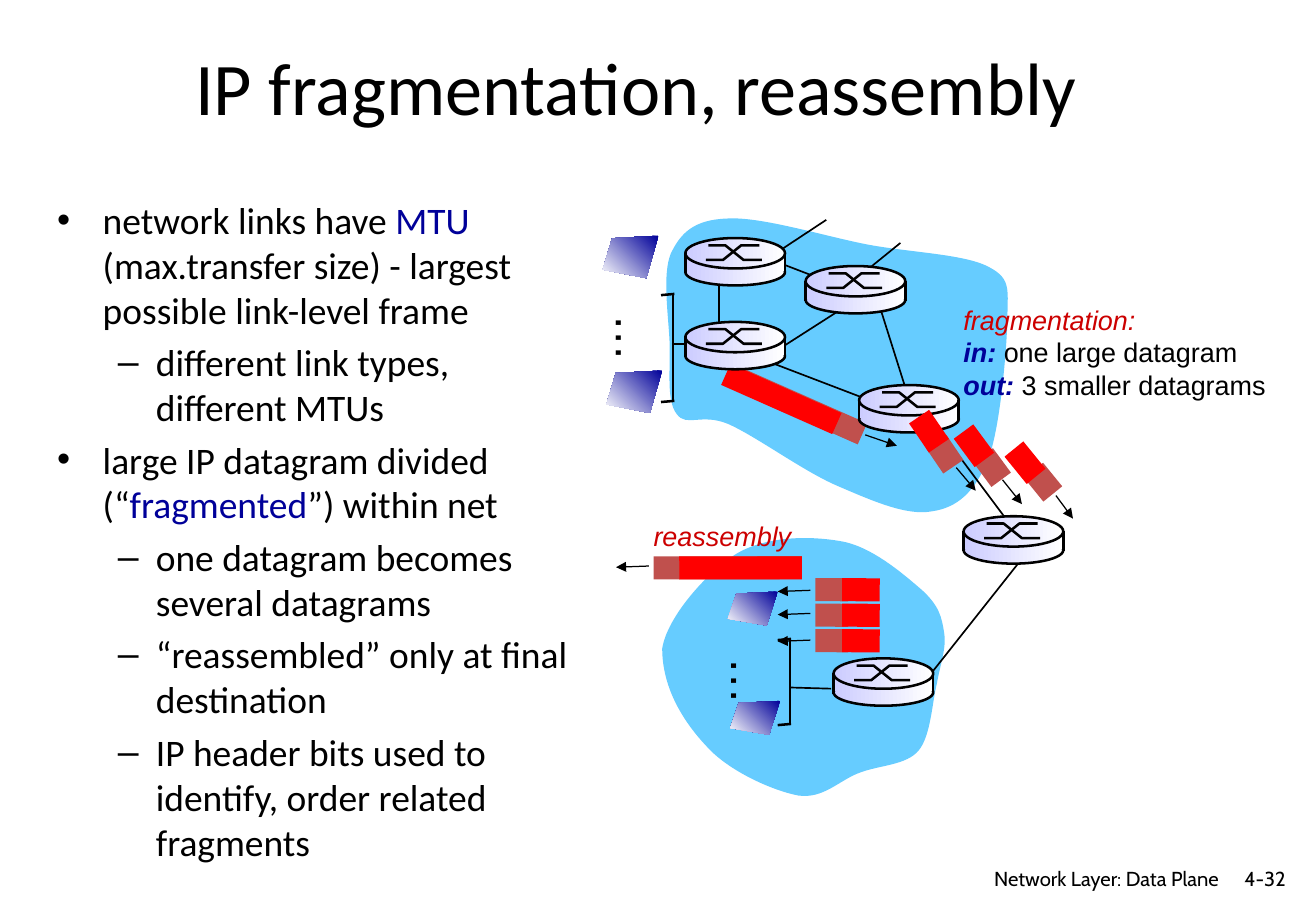
from lxml import etree
from pptx import Presentation
from pptx import util as u
from pptx.dml.color import RGBColor
from pptx.enum import shapes, text
from pptx.oxml import ns

PX = 9144  # 100 px to the inch
BLACK, NAVY, CRIMSON, RED, BRICK = "000000", "000099", "CC0000", "FF0000", "C0504D"
SKY, LILAC, WHITE = "66CCFF", "CCCCFF", "FFFFFF"
RECT, OVAL = shapes.MSO_SHAPE.RECTANGLE, shapes.MSO_SHAPE.OVAL
RIGHT, MIDDLE = text.PP_ALIGN.RIGHT, text.MSO_ANCHOR.MIDDLE


def px(value):
    return u.Emu(round(value * PX))


def ink(hex_code):
    return RGBColor.from_string(hex_code)


def bend(shape):
    """Turn every three straight segments of an outline into one cubic curve."""
    segments = list(shape.element.iter(ns.qn("a:lnTo")))
    for first in range(0, len(segments), 3):
        curve = etree.Element(ns.qn("a:cubicBezTo"))
        segments[first].addprevious(curve)
        for segment in segments[first:first + 3]:
            curve.append(segment[0])
            segment.getparent().remove(segment)


class Slide:
    def __init__(self, page):
        self.page = page

    def spans(self, para, spans, size, font):
        """Add runs given as (words, colour, style), style holding b and i."""
        for words, colour, style in spans:
            span = para.add_run()
            span.text = words
            span.font.size, span.font.name = u.Pt(size), font
            span.font.color.rgb = ink(colour)
            span.font.bold, span.font.italic = "b" in style, "i" in style

    def placeholder(self, index, place, lines, size):
        """Fill a placeholder with lines given as (level, spans)."""
        box = self.page.placeholders[index]
        box.left, box.top, box.width, box.height = map(px, place)
        frame = box.text_frame
        frame.auto_size = text.MSO_AUTO_SIZE.NONE
        for number, (level, spans) in enumerate(lines):
            para = frame.add_paragraph() if number else frame.paragraphs[0]
            para.level = level
            if number == 0:
                para.space_before = u.Pt(0)
            self.spans(para, spans, size, "Calibri")

    def label(self, place, lines, size, font="Arial", align=None, anchor=None,
              wrap=False, turn=0):
        box = self.page.shapes.add_textbox(*map(px, place))
        box.rotation = turn
        frame = box.text_frame
        frame.word_wrap = wrap
        frame.vertical_anchor = anchor
        for number, spans in enumerate(lines):
            para = frame.add_paragraph() if number else frame.paragraphs[0]
            para.alignment = align
            self.spans(para, spans, size, font)

    def paint(self, shape, fill=None, fade_angle=None, line=None):
        """Fill with one colour, or fade it to white at the given angle."""
        shape.shadow.inherit = False
        if fill is None:
            shape.fill.background()
        elif fade_angle is None:
            shape.fill.solid()
            shape.fill.fore_color.rgb = ink(fill)
        else:
            shape.fill.gradient()
            shape.fill.gradient_angle = fade_angle
            for stop, colour in zip(shape.fill.gradient_stops, (fill, WHITE)):
                stop.color.rgb = ink(colour)
        if line:
            shape.line.color.rgb = ink(BLACK)
            shape.line.width = u.Pt(line)
        else:
            shape.line.fill.background()

    def solid(self, kind, place, fill, turn=0, **style):
        shape = self.page.shapes.add_shape(kind, *map(px, place))
        shape.rotation = turn
        self.paint(shape, fill, **style)

    def outline(self, points, close=True, curved=False, **style):
        first, *rest = [(px(x), px(y)) for x, y in points]
        builder = self.page.shapes.build_freeform(*first)
        builder.add_line_segments(rest, close=close)
        shape = builder.convert_to_shape()
        if curved:
            bend(shape)
        self.paint(shape, **style)

    def line(self, x1, y1, x2, y2, width=1, arrow=False):
        link = self.page.shapes.add_connector(
            shapes.MSO_CONNECTOR.STRAIGHT, *map(px, (x1, y1, x2, y2)))
        link.line.color.rgb = ink(BLACK)
        link.line.width = u.Pt(width)
        frame = link.element.spPr
        if arrow:
            etree.SubElement(frame.find(ns.qn("a:ln")), ns.qn("a:tailEnd"), type="triangle")
        etree.SubElement(frame, ns.qn("a:effectLst"))

    def arrow(self, *ends):
        self.line(*ends, width=0.75, arrow=True)

    def router(self, x, y):
        fade = dict(fill=LILAC, fade_angle=0)
        self.solid(OVAL, (x, y + 17, 82, 22), line=1.5, **fade)
        self.solid(RECT, (x, y + 14, 82, 13), **fade)
        self.solid(OVAL, (x, y, 82, 25), line=1.5, **fade)
        for left, start, end in (17, 18, 6), (19, 6, 18):
            steps = zip((0, 14, 29, 44), (start, start, end, end))
            self.outline([(x + left + dx, y + dy) for dx, dy in steps], close=False, line=1.5)
        for side in x, x + 82:
            self.line(side, y + 12, side, y + 29, 1.5)

    def host(self, x, y, width, height):
        corners = (1, 0), (0.17, 0.06), (0, 0.8), (0.78, 1)
        self.outline([(x + a * width, y + b * height) for a, b in corners],
                     fill=NAVY, fade_angle=225)

    def hosts(self, bracket, first, dots, last, size):
        """Two hosts with dots between, joined by a bracket (right, top, bottom)."""
        x, top, bottom = bracket
        for y in top, bottom:
            self.line(x - 10, y + 1, x + 1, y, 1.5)
        self.line(x, top, x, bottom)
        self.host(*first, *size)
        self.label((*dots, 60, 57), [[("…", BLACK, "")]], 28, turn=90)
        self.host(*last, *size)


def main():
    deck = Presentation()
    deck.slide_width, deck.slide_height = px(1083), px(750)
    slide = Slide(deck.slides.add_slide(deck.slide_layouts[1]))

    slide.placeholder(0, (63, 20, 921, 102),
                      [(0, [("IP fragmentation, reassembly", BLACK, "")])], 44)
    slide.placeholder(1, (37, 157, 451, 557), [
        (0, [("network links have ", BLACK, ""), ("MTU", NAVY, ""),
             (" (max.transfer size) - largest possible link-level frame", BLACK, "")]),
        (1, [("different link types, different MTUs", BLACK, "")]),
        (0, [("large IP datagram divided (“", BLACK, ""), ("fragmented", NAVY, ""),
             ("”) within net", BLACK, "")]),
        (1, [("one datagram becomes several datagrams", BLACK, "")]),
        (1, [("“reassembled” only at final destination", BLACK, "")]),
        (1, [("IP header bits used to identify, order related fragments", BLACK, "")]),
    ], 22.2)
    slide.label((755, 708, 258, 26), [[("Network Layer: Data Plane", BLACK, "")]], 12,
                "Cabin", RIGHT, wrap=True)
    slide.label((1001, 708, 67, 30), [[("4-32", BLACK, "")]], 12,
                "Cabin", RIGHT, MIDDLE, wrap=True)

    sending_net = [
        (598, 180), (571, 181), (560, 192), (552, 209), (545, 226), (550, 259), (551, 281),
        (552, 303), (548, 330), (557, 341), (565, 352), (577, 340), (599, 349),
        (622, 359), (661, 388), (689, 400), (717, 412), (746, 425), (767, 421),
        (788, 418), (802, 405), (813, 379), (823, 353), (828, 292), (829, 266),
        (829, 239), (833, 230), (814, 220), (794, 209), (748, 208), (712, 201),
        (677, 194), (625, 178), (598, 180)]
    receiving_net = [
        (545, 534), (549, 508), (582, 471), (606, 456), (631, 441), (668, 441), (694, 446),
        (719, 451), (745, 474), (759, 486), (773, 499), (775, 508), (777, 521),
        (779, 534), (774, 546), (771, 563), (767, 579), (766, 606), (756, 618),
        (746, 630), (724, 630), (708, 636), (691, 642), (678, 658), (657, 655),
        (636, 651), (600, 635), (582, 615), (563, 595), (545, 567), (545, 534)]
    for net in sending_net, receiving_net:
        slide.outline(net, curved=True, fill=SKY)

    for link in [(553, 283, 568, 283), (622, 209, 700, 239), (722, 246, 745, 319),
                 (592, 221, 592, 285), (620, 293, 735, 337), (827, 426, 771, 351),
                 (712, 242, 623, 299), (680, 181, 624, 218), (741, 200, 709, 226),
                 (841, 460, 765, 556)]:
        slide.line(*link)

    slide.solid(RECT, (593, 323, 122, 19), BRICK, 23.9)
    slide.solid(RECT, (593, 319, 100, 19), RED, 23.9)
    slide.arrow(712, 358, 738, 367)
    slide.label((783, 245, 272, 91), [
        [("fragmentation:", CRIMSON, "i")],
        [("in:", NAVY, "bi"), (" one large datagram", BLACK, "")],
        [("out:", NAVY, "bi"), (" 3 smaller datagrams", BLACK, "")]], 16)

    slide.line(650, 566, 684, 567)
    for y in range(476, 519, 21):
        slide.solid(RECT, (671, y, 27, 19), BRICK, 180.4)
        slide.solid(RECT, (693, y, 31, 19), RED, 180.4)
    for y in 486, 505, 527:
        slide.arrow(667, y, 640, y + 1)
    slide.solid(RECT, (538, 458, 122, 19), BRICK, 179.9)
    slide.solid(RECT, (559, 458, 101, 19), RED, 179.9)
    slide.arrow(534, 466, 507, 467)
    slide.label((528, 423, 135, 37), [[("reassembly", CRIMSON, "i")]], 16)

    slide.hosts((554, 242, 330), (496, 194), (492, 251), (499, 305), (46, 35))
    for place in (707, 317), (564, 196), (564, 265), (663, 219):
        slide.router(*place)
    for header, payload, turn, ends in [
            ((765, 364), (750, 345), 55.8, (787, 385, 803, 404)),
            ((804, 375), (787, 357), 53.6, (825, 395, 841, 415)),
            ((846, 387), (829, 371), 50.9, (869, 408, 883, 427))]:
        slide.solid(RECT, (*header, 25, 20), BRICK, turn)
        slide.solid(RECT, (*payload, 29, 20), RED, turn)
        slide.arrow(*ends)
    for place in (793, 425), (686, 542):
        slide.router(*place)
    slide.hosts((650, 526, 596), (599, 487), (587, 533), (601, 577), (41, 28))

    deck.save("out.pptx")


if __name__ == "__main__":
    main()
